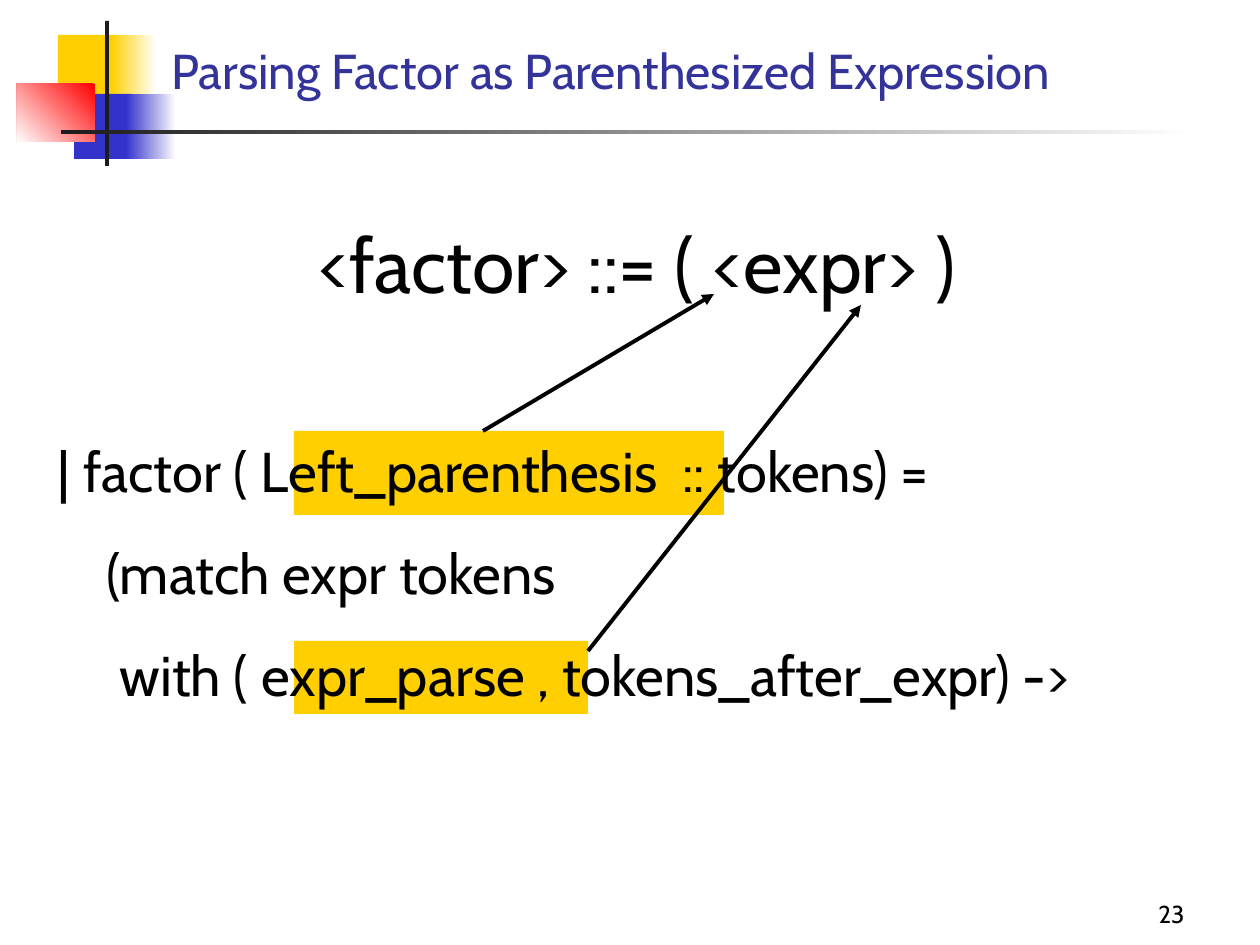
"""Build the slide on parsing a factor as a parenthesized expression."""
import dataclasses
import typing

import lxml.etree
import pptx
import pptx.dml.color
import pptx.enum.shapes
import pptx.enum.text
import pptx.oxml.ns
import pptx.util

EMU_PER_PIXEL = 914400 / 126
ALIGN = pptx.enum.text.PP_ALIGN
ANCHOR = pptx.enum.text.MSO_ANCHOR
qualified = pptx.oxml.ns.qn


@dataclasses.dataclass(frozen=True)
class Theme:
    font: str = "Cabin"
    text: str = "000000"
    title: str = "333399"
    gold: str = "FFCF01"
    blue: str = "3333CC"
    red: str = "FF0000"
    dark: str = "1C1C1C"
    white: str = "FFFFFF"
    title_size: int = 28
    grammar_size: int = 44
    code_size: int = 32
    number_size: int = 14
    arrow_width: float = 2.25


class Box(typing.NamedTuple):
    left: int
    top: int
    width: int
    height: int


class Block(typing.NamedTuple):
    box: Box
    color: str
    fade_to: typing.Optional[str] = None
    angle: int = 0


class Arrow(typing.NamedTuple):
    start_x: int
    start_y: int
    end_x: int
    end_y: int


class Line(typing.NamedTuple):
    text: str
    size: int
    color: str
    alignment: ALIGN = ALIGN.LEFT
    indent: int = 0
    space_before: int = 0


THEME = Theme()

BLOCKS = [
    Block(Box(58, 35, 60, 66), THEME.gold),
    Block(Box(111, 35, 45, 66), THEME.white, THEME.gold, 180),
    Block(Box(74, 94, 58, 65), THEME.blue),
    Block(Box(126, 94, 50, 65), THEME.white, THEME.blue, 180),
    Block(Box(17, 84, 78, 58), THEME.red, THEME.white, 225),
    Block(Box(105, 21, 4, 145), THEME.dark),
    Block(Box(61, 130, 1133, 4), THEME.white, THEME.dark, 180),
    Block(Box(294, 431, 430, 84), THEME.gold),
    Block(Box(294, 641, 294, 73), THEME.gold),
]
ARROWS = [Arrow(483, 431, 714, 294), Arrow(588, 651, 861, 305)]

TITLE = [Line("Parsing Factor as Parenthesized Expression", THEME.title_size, THEME.title)]
BODY = [
    Line("<factor> ::= ( <expr> )", THEME.grammar_size, THEME.text, ALIGN.CENTER, 34),
    Line("| factor ( Left_parenthesis  :: tokens) =", THEME.code_size, THEME.text, indent=13, space_before=73),
    Line("(match expr tokens", THEME.code_size, THEME.text, indent=62, space_before=20),
    Line("with ( expr_parse , tokens_after_expr) ->", THEME.code_size, THEME.text, indent=75, space_before=20),
]
NUMBER = [Line("23", THEME.number_size, THEME.text, ALIGN.RIGHT)]


def pixels(value: int) -> pptx.util.Emu:
    """Turn picture pixels into EMU."""
    return pptx.util.Emu(round(value * EMU_PER_PIXEL))


def rgb(color: str) -> pptx.dml.color.RGBColor:
    """Turn a hex string into a colour."""
    return pptx.dml.color.RGBColor.from_string(color)


def apply(target: typing.Any, values: dict) -> None:
    """Set every attribute named in a dict of format values."""
    for name, value in values.items():
        setattr(target, name, value)


def draw_block(slide: typing.Any, block: Block) -> None:
    """Draw a plain or fading rectangle without outline."""
    shape = slide.shapes.add_shape(
        pptx.enum.shapes.MSO_SHAPE.RECTANGLE, *map(pixels, block.box))
    shape.shadow.inherit = False
    shape.line.fill.background()
    if block.fade_to is None:
        shape.fill.solid()
        shape.fill.fore_color.rgb = rgb(block.color)
        return
    shape.fill.gradient()
    shape.fill.gradient_angle = block.angle
    for stop, color in zip(shape.fill.gradient_stops, (block.color, block.fade_to)):
        apply(stop, {"position": float(color == block.fade_to)})
        stop.color.rgb = rgb(color)


def draw_arrow(slide: typing.Any, arrow: Arrow) -> None:
    """Draw a straight line with an arrowhead at its end."""
    connector = slide.shapes.add_connector(
        pptx.enum.shapes.MSO_CONNECTOR.STRAIGHT, *map(pixels, arrow))
    connector.line.width = pptx.util.Pt(THEME.arrow_width)
    connector.line.color.rgb = rgb(THEME.text)
    outline = connector.line._get_or_add_ln()
    lxml.etree.SubElement(outline, qualified("a:tailEnd"), type="triangle")
    lxml.etree.SubElement(connector.element.spPr, qualified("a:effectLst"))


def write_text(shape: typing.Any, box: Box, anchor: ANCHOR, lines: typing.List[Line]) -> None:
    """Place a text shape in front and fill it with unbulleted lines."""
    apply(shape, dict(zip(Box._fields, map(pixels, box))))
    shape.element.getparent().append(shape.element)
    frame = shape.text_frame
    apply(frame, {"word_wrap": True, "vertical_anchor": anchor,
                  "auto_size": pptx.enum.text.MSO_AUTO_SIZE.NONE})
    frame.text = "\n".join(line.text for line in lines)
    for paragraph, line in zip(frame.paragraphs, lines):
        apply(paragraph, {"alignment": line.alignment, "line_spacing": 1.0,
                          "space_before": pptx.util.Pt(line.space_before)})
        properties = paragraph._p.get_or_add_pPr()
        properties.set("marL", str(pixels(line.indent)))
        properties.set("indent", "0")
        lxml.etree.SubElement(properties, qualified("a:buNone"))
        font = paragraph.runs[0].font
        apply(font, {"name": THEME.font, "size": pptx.util.Pt(line.size)})
        font.color.rgb = rgb(line.color)


def build() -> None:
    """Assemble and save the slide."""
    presentation = pptx.Presentation()
    apply(presentation, {"slide_width": pixels(1260), "slide_height": pixels(945)})
    slide = presentation.slides.add_slide(presentation.slide_layouts[1])
    for block in BLOCKS:
        draw_block(slide, block)
    number_box = Box(935, 872, 262, 63)
    number = slide.shapes.add_textbox(*map(pixels, number_box))
    write_text(number, number_box, ANCHOR.BOTTOM, NUMBER)
    write_text(slide.placeholders[1], Box(32, 210, 1176, 640), ANCHOR.TOP, BODY)
    write_text(slide.shapes.title, Box(159, 23, 1074, 83), ANCHOR.BOTTOM, TITLE)
    for arrow in ARROWS:
        draw_arrow(slide, arrow)
    presentation.save("out.pptx")


build()
